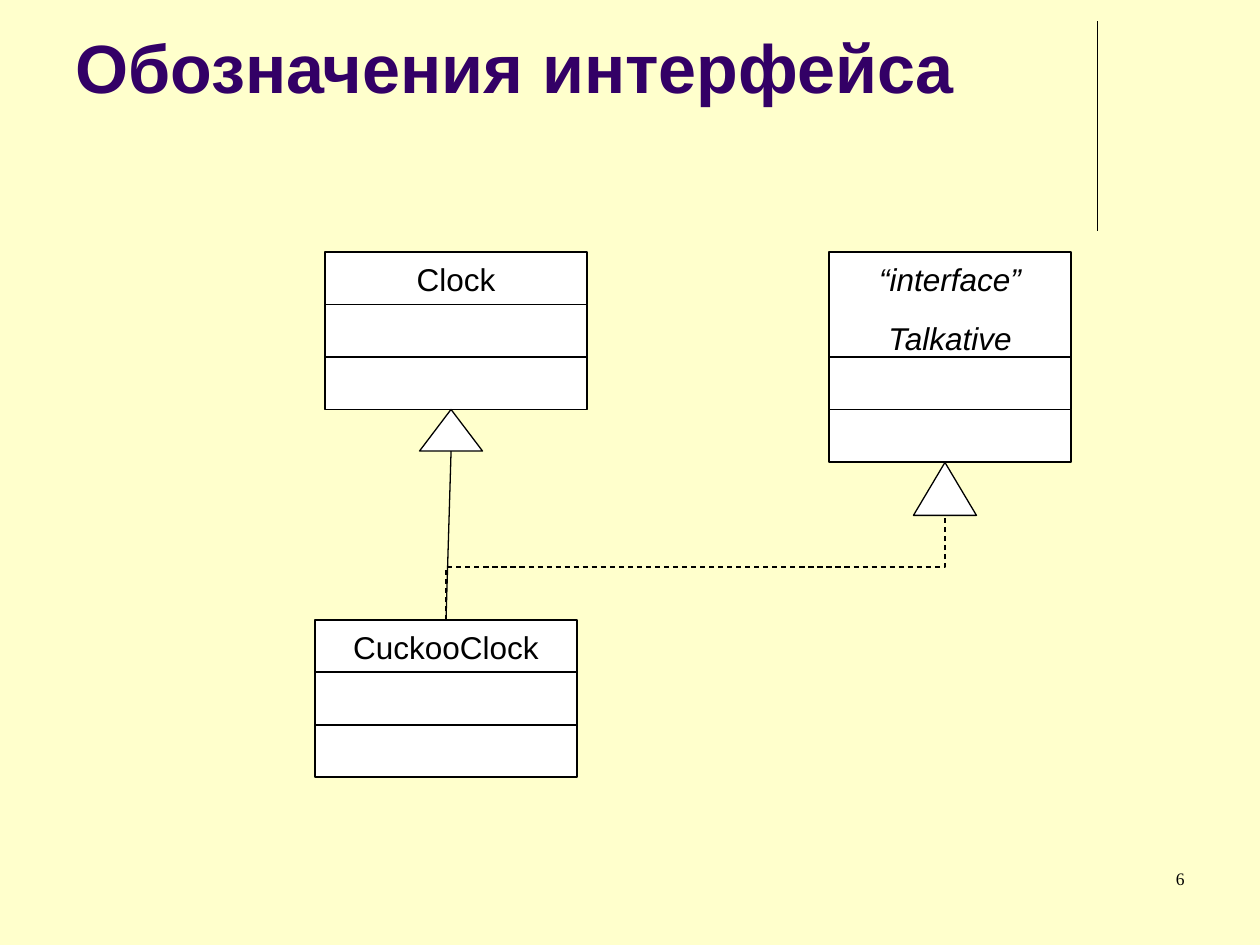
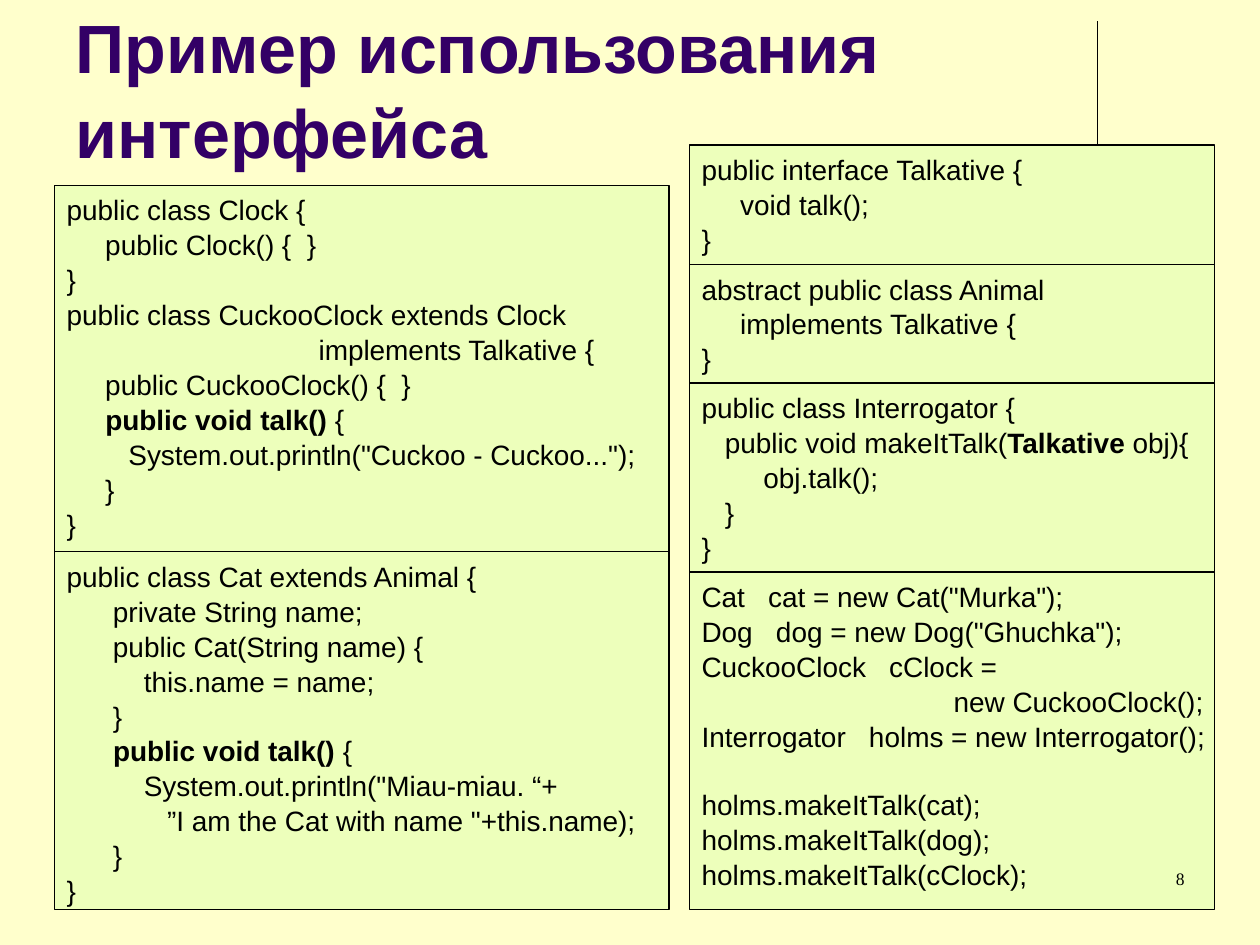
"""Build two slides on interfaces: class notation and a code example."""
from lxml import etree
from pptx import Presentation
from pptx.dml.color import RGBColor
from pptx.enum.dml import MSO_LINE
from pptx.enum.shapes import MSO_CONNECTOR, MSO_SHAPE
from pptx.enum.text import MSO_ANCHOR, MSO_AUTO_SIZE, PP_ALIGN
from pptx.oxml.ns import qn
from pptx.util import Inches, Pt

RECT, TRIANGLE = MSO_SHAPE.RECTANGLE, MSO_SHAPE.FLOWCHART_EXTRACT
STRAIGHT, ELBOW = MSO_CONNECTOR.STRAIGHT, MSO_CONNECTOR.ELBOW
DASH = MSO_LINE.DASH
TOP, BOTTOM = MSO_ANCHOR.TOP, MSO_ANCHOR.BOTTOM
LEFT, CENTER, RIGHT = PP_ALIGN.LEFT, PP_ALIGN.CENTER, PP_ALIGN.RIGHT
NO_AUTOFIT = MSO_AUTO_SIZE.NONE

COLORS = {"page": "FFFFCC", "title": "330066", "ink": "000000",
          "class": "FFFFFF", "code": "EDFFBB"}
SANS, SERIF = "Arial", "Times New Roman"
ROW = 5 / 12
CODE_SIZE, LINE_SPACING = 16, 1.04

CLOCK_CODE = '''public class Clock {
     public Clock() {  }
}
public class CuckooClock extends Clock
\t\timplements Talkative {
     public CuckooClock() {  }
     **public void talk()** {
        System.out.println("Cuckoo - Cuckoo...");
     }
}'''
CAT_CODE = '''public class Cat extends Animal {
      private String name;
      public Cat(String name) {
          this.name = name;
      }
      **public void talk()** {
          System.out.println("Miau-miau. “+
             ”I am the Cat with name "+this.name);
      }
}'''
TALKATIVE_CODE = '''public interface Talkative {
     void talk();
}'''
ANIMAL_CODE = '''abstract public class Animal
     implements Talkative {
}'''
INTERROGATOR_CODE = '''public class Interrogator {
   public void makeItTalk(**Talkative** obj){
        obj.talk();
   }
}'''
USAGE_CODE = '''Cat   cat = new Cat("Murka");
Dog   dog = new Dog("Ghuchka");
CuckooClock   cClock =
\t\tnew CuckooClock();
Interrogator   holms = new Interrogator();

holms.makeItTalk(cat);
holms.makeItTalk(dog);
holms.makeItTalk(cClock);'''


def rgb(name):
    """Return the named colour."""
    return RGBColor.from_string(COLORS[name])


def style(p, size, color="ink", font=SANS, bold=False, italic=False, align=LEFT):
    """Format a paragraph."""
    p.alignment = align
    p.line_spacing = LINE_SPACING
    f = p.font
    f.name, f.size, f.bold, f.italic = font, Pt(size), bold, italic
    f.color.rgb = rgb(color)


def add_tabs(p):
    """Put a tab stop at every inch."""
    tabs = etree.SubElement(p._p.get_or_add_pPr(), qn("a:tabLst"))
    for inch in range(1, 8):
        etree.SubElement(tabs, qn("a:tab"), pos=str(Inches(inch)), algn="l")


def add_line(s, x1, y1, x2, y2, kind=STRAIGHT):
    """Draw a thin line without a shadow."""
    line = s.shapes.add_connector(kind, Inches(x1), Inches(y1), Inches(x2), Inches(y2))
    line.line.color.rgb = rgb("ink")
    line.line.width = Pt(0.75)
    etree.SubElement(line._element.spPr, qn("a:effectLst"))
    return line


def add_upward_elbow(s, x1, y1, x2, y2):
    """Draw a dashed elbow that leaves upwards and arrives upwards."""
    w, h = y1 - y2, x2 - x1
    left, top = (x1 + x2 - w) / 2, (y1 + y2 - h) / 2
    line = add_line(s, left, top, left + w, top + h, ELBOW)
    line._element.spPr.find(qn("a:xfrm")).set("rot", str(270 * 60000))
    line.line.dash_style = DASH


def add_box(shapes, left, top, width, height, fill, kind=RECT, weight=0.75):
    """Add an outlined shape with its text at the top."""
    box = shapes.add_shape(kind, Inches(left), Inches(top), Inches(width), Inches(height))
    box.shadow.inherit = False
    box.fill.solid()
    box.fill.fore_color.rgb = rgb(fill)
    box.line.color.rgb = rgb("ink")
    box.line.width = Pt(weight)
    box.text_frame.vertical_anchor = TOP
    return box


def add_class(s, left, top, width, names, italic=False):
    """Add a class symbol: a name row per name and two empty rows."""
    shapes = s.shapes.add_group_shape().shapes
    count = len(names)
    name_box = add_box(shapes, left, top, width, count * ROW, "class", weight=1)
    tf = name_box.text_frame
    for i, name in enumerate(names):
        p = tf.add_paragraph() if i else tf.paragraphs[0]
        p.text = name
        if i:
            p.space_before = Pt(11.2)
        style(p, 18, italic=italic, align=CENTER)
    for row in (count, count + 1):
        add_box(shapes, left, top + row * ROW, width, ROW, "class", weight=1)


def add_code(s, left, top, width, height, code):
    """Add a code box; **text** is bold and an empty line becomes a gap."""
    tf = add_box(s.shapes, left, top, width, height, "code").text_frame
    tf.word_wrap = False
    p, gap = tf.paragraphs[0], False
    for i, text in enumerate(code.split("\n")):
        if not text:
            gap = True
            continue
        if i:
            p = tf.add_paragraph()
        if gap:
            p.space_before = Pt(CODE_SIZE * 1.2)
            gap = False
        add_tabs(p)
        style(p, CODE_SIZE)
        for j, part in enumerate(text.split("**")):
            if part:
                r = p.add_run()
                r.text = part
                if j % 2:
                    r.font.bold = True


def add_code_column(s, left, top, width, blocks):
    """Stack code boxes given as (height, code)."""
    for height, code in blocks:
        add_code(s, left, top, width, height, code)
        top += height


def add_page_number(s, number):
    """Write the page number at the lower right."""
    box = s.shapes.add_textbox(Inches(7.17), Inches(6.83), Inches(2.33), Inches(0.5))
    box.text_frame.word_wrap = True
    p = box.text_frame.paragraphs[0]
    p.text = str(number)
    style(p, 10, font=SERIF, align=RIGHT)


def add_slide(prs, title, top, bottom_inset=0.05):
    """Add a slide with background, corner line and title."""
    s = prs.slides.add_slide(prs.slide_layouts[5])
    add_line(s, 8.71, 0.17, 8.71, 1.83)
    sp = s.shapes.title
    sp.left, sp.top, sp.width, sp.height = map(Inches, (0.5, top, 8.25, 1.42))
    tf = sp.text_frame
    tf.text = title
    tf.word_wrap = True
    tf.auto_size = NO_AUTOFIT
    tf.vertical_anchor = BOTTOM
    tf.margin_bottom = Inches(bottom_inset)
    style(tf.paragraphs[0], 39, "title", bold=True)
    return s


def add_notation_slide(prs):
    """Show the class diagram with an interface."""
    s = add_slide(prs, "Обозначения интерфейса", 0.13, bottom_inset=0.7)
    add_class(s, 6.58, 2, 1.92, ["“interface”", "Talkative"], italic=True)
    add_box(s.shapes, 7.25, 3.67, 0.5, 0.42, "class", TRIANGLE)
    add_class(s, 2.5, 4.92, 2.08, ["CuckooClock"])
    add_upward_elbow(s, 3.54, 4.92, 7.5, 4.08)
    add_class(s, 2.58, 2, 2.08, ["Clock"])
    add_box(s.shapes, 3.33, 3.25, 0.5, 0.33, "class", TRIANGLE)
    add_line(s, 3.54, 4.92, 3.58, 3.58)
    add_page_number(s, 6)


def add_example_slide(prs):
    """Show the code that uses the interface."""
    s = add_slide(prs, "Пример использования интерфейса", 0)
    add_code_column(s, 0.43, 1.47, 4.88, [(2.91, CLOCK_CODE), (2.84, CAT_CODE)])
    add_code_column(s, 5.47, 1.15, 4.17, [
        (0.95, TALKATIVE_CODE), (0.94, ANIMAL_CODE),
        (1.5, INTERROGATOR_CODE), (2.68, USAGE_CODE)])
    add_page_number(s, 8)


def main():
    """Build and save the presentation."""
    prs = Presentation()
    prs.slide_width, prs.slide_height = Inches(10), Inches(7.5)
    fill = prs.slide_master.background.fill
    fill.solid()
    fill.fore_color.rgb = rgb("page")
    add_notation_slide(prs)
    add_example_slide(prs)
    prs.save("out.pptx")


if __name__ == "__main__":
    main()
